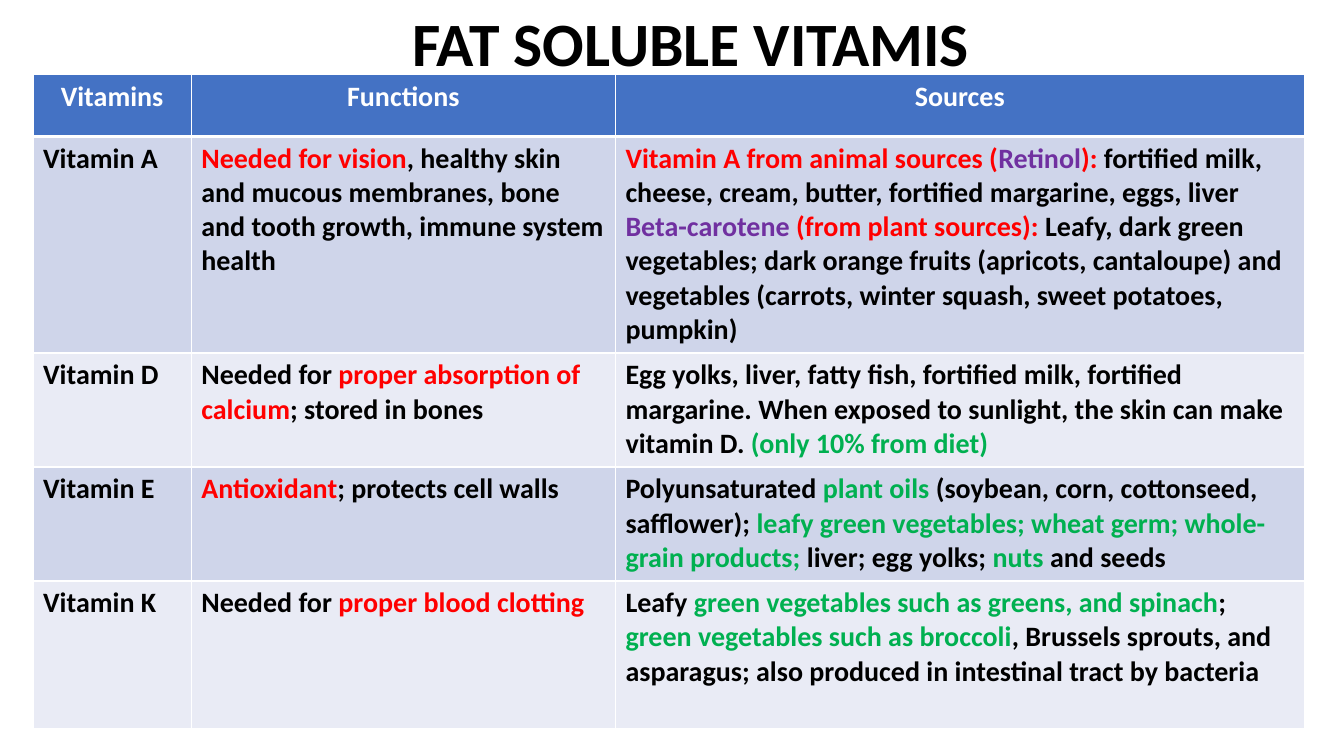
from lxml import etree
from pptx import Presentation
from pptx import util as u
from pptx.dml import color
from pptx.enum import text
from pptx.oxml import ns

COLOURS = {
    "black": "000000",
    "white": "FFFFFF",
    "red": "FF0000",
    "purple": "7030A0",
    "green": "00B050",
    "header": "4472C4",
    "odd row": "CFD5EA",
    "even row": "E9EBF5",
}
FONT = "Calibri"
COLUMN_WIDTHS = [113, 303, 492]
ROW_HEIGHTS = [44, 154.8, 81.4, 81.4, 105.6]
HEADINGS = ["Vitamins", "Functions", "Sources"]
VITAMINS = [
    (
        "Vitamin A",
        [[("Needed for vision", "red"),
          (", healthy skin and mucous membranes, bone and tooth growth, "
           "immune system health", "black")]],
        [[("Vitamin A from animal sources (", "red"), ("Retinol", "purple"), ("): ", "red"),
          ("fortified milk, cheese, cream, butter, fortified margarine, eggs, liver", "black")],
         [("Beta-carotene ", "purple"), ("(from plant sources): ", "red"),
          ("Leafy, dark green vegetables; dark orange fruits (apricots, cantaloupe) and "
           "vegetables (carrots, winter squash, sweet potatoes, pumpkin)", "black")]],
    ),
    (
        "Vitamin D",
        [[("Needed for ", "black"), ("proper absorption of calcium", "red"),
          ("; stored in bones", "black")]],
        [[("Egg yolks, liver, fatty fish, fortified milk, fortified margarine. "
           "When exposed to sunlight, the skin can make vitamin D. ", "black"),
          ("(only 10% from diet)", "green")]],
    ),
    (
        "Vitamin E",
        [[("Antioxidant", "red"), ("; protects cell walls", "black")]],
        [[("Polyunsaturated ", "black"), ("plant oils ", "green"),
          ("(soybean, corn, cottonseed, safflower); ", "black"),
          ("leafy green vegetables; wheat germ; whole-grain products; ", "green"),
          ("liver; egg yolks; ", "black"), ("nuts", "green"), (" and seeds", "black")]],
    ),
    (
        "Vitamin K",
        [[("Needed for ", "black"), ("proper blood clotting", "red")]],
        [[("Leafy ", "black"), ("green vegetables such as greens, and spinach", "green"),
          ("; ", "black"), ("green vegetables such as broccoli", "green"),
          (", Brussels sprouts, and asparagus; also produced in intestinal tract by bacteria",
           "black")]],
    ),
]


def rgb(name):
    return color.RGBColor.from_string(COLOURS[name])


def write(frame, paragraphs, size, align=text.PP_ALIGN.LEFT):
    for index, spans in enumerate(paragraphs):
        para = frame.add_paragraph() if index else frame.paragraphs[0]
        para.alignment = align
        para.font.name = FONT
        para.font.size = u.Pt(size)
        para.font.bold = True
        for words, colour in spans:
            span = para.add_run()
            span.text = words
            span.font.color.rgb = rgb(colour)


def draw_borders(cell, widths):
    properties = cell._tc.get_or_add_tcPr()
    for side, width in widths.items():
        line = etree.SubElement(properties, ns.qn(f"a:ln{side}"), w=str(u.Pt(width)))
        fill = etree.SubElement(line, ns.qn("a:solidFill"))
        etree.SubElement(fill, ns.qn("a:srgbClr"), val=COLOURS["white"])


def add_title(page, left, top, width, height):
    box = page.shapes.add_textbox(u.Pt(left), u.Pt(top), u.Pt(width), u.Pt(height))
    box.text_frame.word_wrap = False
    box.text_frame.auto_size = text.MSO_AUTO_SIZE.SHAPE_TO_FIT_TEXT
    write(box.text_frame, [[("FAT SOLUBLE VITAMIS", "black")]], 44)


def add_vitamin_table(page, left, top):
    rows = [[[[(heading, "white")]] for heading in HEADINGS]]
    rows += [[[[(name, "black")]], functions, sources] for name, functions, sources in VITAMINS]
    table = page.shapes.add_table(
        len(rows), len(HEADINGS), u.Pt(left), u.Pt(top),
        u.Pt(sum(COLUMN_WIDTHS)), u.Pt(sum(ROW_HEIGHTS)),
    ).table
    for column, width in zip(table.columns, COLUMN_WIDTHS):
        column.width = u.Pt(width)
    for number, (row, height, contents) in enumerate(zip(table.rows, ROW_HEIGHTS, rows)):
        row.height = u.Pt(height)
        header = number == 0
        shade = "header" if header else "odd row" if number % 2 else "even row"
        align = text.PP_ALIGN.CENTER if header else text.PP_ALIGN.LEFT
        borders = {"L": 1, "R": 1, "T": 3 if number == 1 else 1, "B": 3 if header else 1}
        for cell, paragraphs in zip(row.cells, contents):
            draw_borders(cell, borders)
            cell.fill.solid()
            cell.fill.fore_color.rgb = rgb(shade)
            write(cell.text_frame, paragraphs, 20, align)


def main():
    deck = Presentation()
    deck.slide_width = u.Pt(960)
    deck.slide_height = u.Pt(540)
    page = deck.slides.add_slide(deck.slide_layouts[6])
    add_vitamin_table(page, 23.6, 53.4)
    add_title(page, 287.3, 0, 416.2, 60.6)
    deck.save("out.pptx")


if __name__ == "__main__":
    main()
